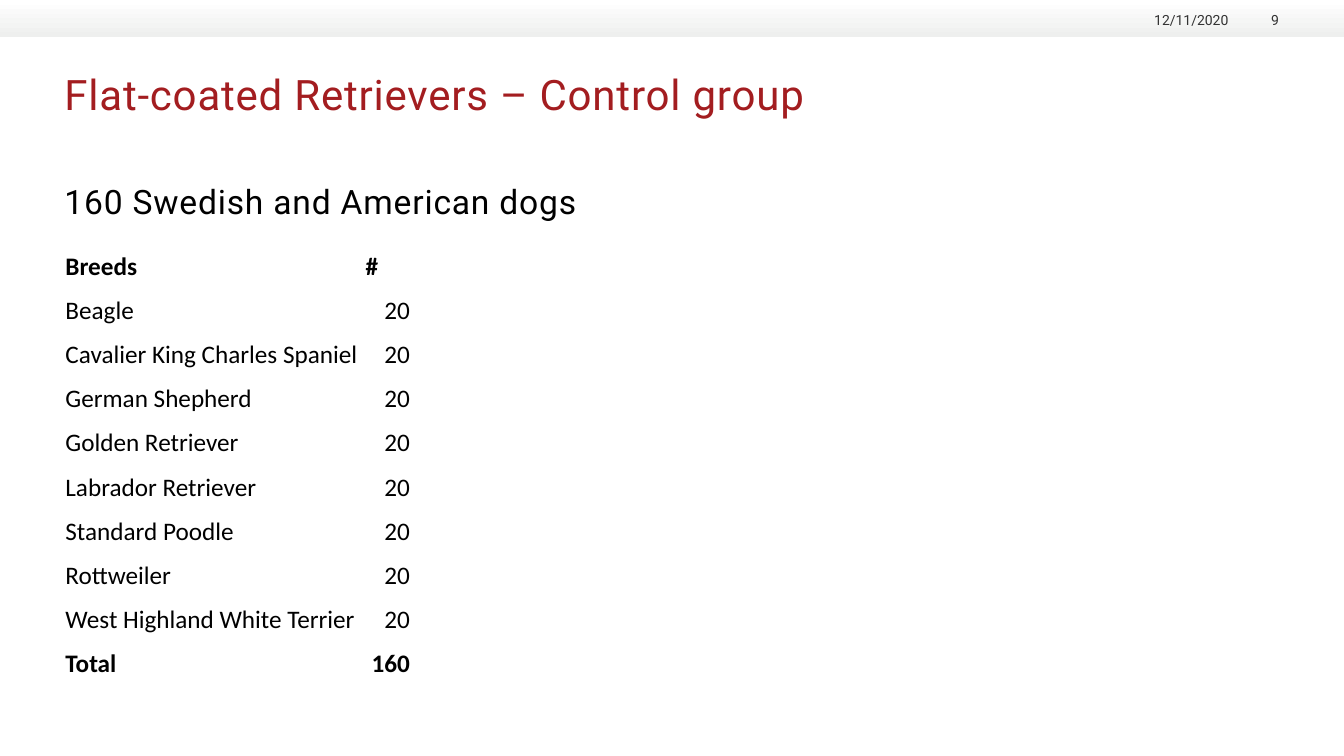
import pptx
import pptx.dml.color
import pptx.enum.shapes
import pptx.enum.text
import pptx.util

Pt = pptx.util.Pt
Align = pptx.enum.text.PP_ALIGN
Anchor = pptx.enum.text.MSO_ANCHOR

COLORS = {
    "title": "A31D20",
    "text": "000000",
    "footer": "333333",
    "band_top": "FFFFFF",
    "band_bottom": "EEEFEE",
}
LEFT = 46


def color(name):
    return pptx.dml.color.RGBColor.from_string(COLORS[name])


def write(frame, text, size, font, color_name, align, anchor, spacing=0):
    """Fill a text frame with one paragraph, without margins or autofit."""
    frame.margin_left = frame.margin_right = frame.margin_top = frame.margin_bottom = 0
    frame.word_wrap = True
    frame.auto_size = pptx.enum.text.MSO_AUTO_SIZE.NONE
    frame.vertical_anchor = anchor
    paragraph = frame.paragraphs[0]
    paragraph.alignment = align
    run = paragraph.add_run()
    run.text = text
    run.font.size = Pt(size)
    run.font.name = font
    run.font.color.rgb = color(color_name)
    if spacing:
        run.font._element.set("spc", str(spacing))  # hundredths of a point
    return paragraph


presentation = pptx.Presentation()
presentation.slide_width = Pt(960)
presentation.slide_height = Pt(540)
slide = presentation.slides.add_slide(presentation.slide_layouts[1])

# Header band
band = slide.shapes.add_shape(
    pptx.enum.shapes.MSO_SHAPE.RECTANGLE, 0, 0, Pt(960), Pt(26.25))
band.shadow.inherit = False
band.line.fill.background()
band.fill.gradient()
band.fill.gradient_angle = 270
for stop, name in zip(band.fill.gradient_stops, ("band_top", "band_bottom")):
    stop.color.rgb = color(name)

# Title
title = slide.shapes.title
title.left, title.top, title.width, title.height = Pt(LEFT), Pt(49), Pt(867), Pt(68.5)
write(title.text_frame, "Flat-coated Retrievers – Control group",
      30, "Roboto", "title", Align.LEFT, Anchor.TOP, 60)

# Subheading in the body placeholder, without bullet
body = slide.placeholders[1]
body.left, body.top, body.width, body.height = Pt(LEFT), Pt(129), Pt(376), Pt(368)
paragraph = write(body.text_frame, "160 Swedish and American dogs",
                  24, "Roboto", "text", Align.LEFT, Anchor.TOP, 60)
paragraph.space_before = Pt(10)
properties = paragraph._p.get_or_add_pPr()
properties.set("marL", "0")
properties.set("indent", "0")
pptx.oxml.xmlchemy.OxmlElement
properties.append(pptx.oxml.parse_xml(
    '<a:buNone xmlns:a="http://schemas.openxmlformats.org/drawingml/2006/main"/>'))

# Date and slide number
for text, left, width in (("12/11/2020", 813.5, 64), ("9", 883.5, 30)):
    box = slide.shapes.add_textbox(Pt(left), Pt(6.5), Pt(width), Pt(13.5))
    write(box.text_frame, text, 10, "Roboto", "footer", Align.RIGHT, Anchor.BOTTOM)

# Breed table
breeds = [
    "Beagle", "Cavalier King Charles Spaniel", "German Shepherd", "Golden Retriever",
    "Labrador Retriever", "Standard Poodle", "Rottweiler", "West Highland White Terrier",
]
DOGS_PER_BREED = 20
rows = [("Breeds", "#")]
rows += [(breed, str(DOGS_PER_BREED)) for breed in breeds]
rows += [("Total", str(DOGS_PER_BREED * len(breeds)))]

ROW_HEIGHT = 31.5
table = slide.shapes.add_table(
    len(rows), 2, Pt(LEFT), Pt(170), Pt(247.5), Pt(ROW_HEIGHT * len(rows))).table
table.first_row = False
table.horz_banding = False
table.columns[0].width = Pt(214.5)
table.columns[1].width = Pt(33)

for row_index, row in enumerate(rows):
    for column_index, text in enumerate(row):
        cell = table.cell(row_index, column_index)
        cell.fill.background()
        cell.vertical_anchor = Anchor.BOTTOM
        cell.margin_left = cell.margin_right = cell.margin_top = Pt(0.75)
        cell.margin_bottom = 0
        paragraph = cell.text_frame.paragraphs[0]
        paragraph.text = text
        paragraph.line_spacing = 1.4
        is_number = column_index == 1 and row_index > 0
        paragraph.alignment = Align.RIGHT if is_number else Align.LEFT
        paragraph.font.size = Pt(18)
        paragraph.font.name = "Calibri"
        paragraph.font.bold = row_index in (0, len(rows) - 1)
        paragraph.font.color.rgb = color("text")

presentation.save("out.pptx")
